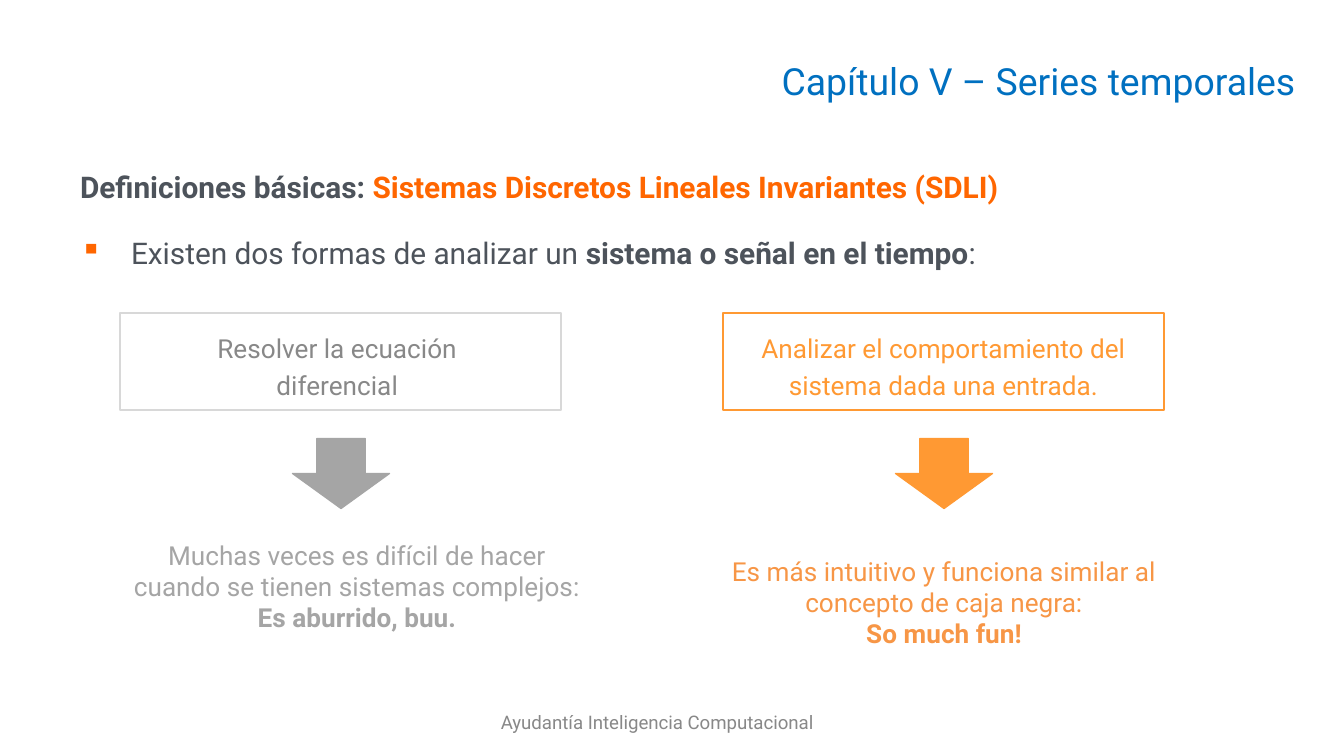
from lxml import etree
from pptx import Presentation
from pptx.dml.color import RGBColor
from pptx.enum.shapes import MSO_SHAPE
from pptx.enum.text import MSO_ANCHOR, PP_ALIGN
from pptx.oxml.ns import qn
from pptx.util import Emu, Pt

PX = 914400 / 134.4
CENTER, RIGHT, JUSTIFY = PP_ALIGN.CENTER, PP_ALIGN.RIGHT, PP_ALIGN.JUSTIFY
TOP, MIDDLE = MSO_ANCHOR.TOP, MSO_ANCHOR.MIDDLE
RECTANGLE, ARROW = MSO_SHAPE.RECTANGLE, MSO_SHAPE.RIGHT_ARROW
COLORS = {
    "title": "0070C0", "dark": "4D535B", "accent": "FF6600",
    "gray": "888888", "border": "D8D8D8", "silver": "A5A5A5",
    "orange": "FF9933", "apricot": "F79646",
}


def px(value):
    return Emu(round(value * PX))


def rgb(name):
    return RGBColor.from_string(COLORS[name])


def run(text, color, bold=False):
    return {"text": text, "color": color, "bold": bold}


class SlideBuilder:
    font = "Roboto"
    line_width = Pt(0.75)

    def __init__(self, slide):
        self.slide = slide

    def fill_text(self, frame, paragraphs, size, align=CENTER, anchor=TOP,
                  inset=13, spacing=None):
        """Fill a text frame; each paragraph is a list of runs, None breaks a line."""
        frame.word_wrap = True
        frame.vertical_anchor = anchor
        frame.margin_left = frame.margin_right = px(13)
        frame.margin_top = frame.margin_bottom = px(inset)
        for index, runs in enumerate(paragraphs):
            paragraph = frame.add_paragraph() if index else frame.paragraphs[0]
            paragraph.alignment = align
            if spacing:
                paragraph.line_spacing = spacing
            for item in runs:
                if item is None:
                    paragraph.add_line_break()
                    continue
                piece = paragraph.add_run()
                piece.text = item["text"]
                piece.font.name = self.font
                piece.font.size = Pt(size)
                piece.font.bold = item["bold"]
                piece.font.color.rgb = rgb(item["color"])

    def text(self, box, paragraphs, size, **style):
        shape = self.slide.shapes.add_textbox(*map(px, box))
        self.fill_text(shape.text_frame, paragraphs, size, **style)
        return shape

    def shape(self, kind, box, line, fill=None):
        shape = self.slide.shapes.add_shape(kind, *map(px, box))
        shape.shadow.inherit = False
        if fill:
            shape.fill.solid()
            shape.fill.fore_color.rgb = rgb(fill)
        else:
            shape.fill.background()
        shape.line.color.rgb = rgb(line)
        shape.line.width = self.line_width
        return shape

    def box(self, box, line, runs):
        shape = self.shape(RECTANGLE, box, line)
        self.fill_text(shape.text_frame, [runs], 14, spacing=1.2)

    def down_arrow(self, box, color):
        self.shape(ARROW, box, color, color).rotation = 90

    def bullet(self, paragraph, color, indent):
        properties = paragraph._p.get_or_add_pPr()
        properties.set("marL", str(px(indent)))
        properties.set("indent", str(-px(indent)))
        bullet_color = etree.SubElement(properties, qn("a:buClr"))
        etree.SubElement(bullet_color, qn("a:srgbClr"), val=COLORS[color])
        etree.SubElement(properties, qn("a:buChar"), char="▪")


def main():
    presentation = Presentation()
    presentation.slide_width, presentation.slide_height = px(1344), px(756)
    slide = presentation.slides.add_slide(presentation.slide_layouts[6])
    builder = SlideBuilder(slide)

    # Title
    builder.text((281, 39, 1028, 83),
                 [[run("Capítulo V – Series temporales", "title")]],
                 20, align=RIGHT, anchor=MIDDLE, inset=7)

    # Heading and bullet
    body = builder.text((67, 155, 1198, 132), [
        [run("Definiciones básicas: ", "dark", True),
         run("Sistemas Discretos Lineales Invariantes (SDLI)", "accent", True)],
        [run("Existen dos formas de analizar un ", "dark"),
         run("sistema o señal en el tiempo", "dark", True),
         run(":", "dark")],
    ], 16, align=JUSTIFY, inset=7, spacing=1.2)
    point = body.text_frame.paragraphs[1]
    point.space_before = Pt(12)
    builder.bullet(point, "accent", 51)

    # Two approaches: box, arrow and conclusion
    approaches = [
        (120, "border", "silver",
         [run("Resolver la ecuación ", "gray"), None, run("diferencial ", "gray")],
         (117, 526),
         [[run("Muchas veces es difícil de hacer cuando se tienen "
               "sistemas complejos: ", "silver"),
           run("Es aburrido, buu.", "silver", True)]]),
        (723, "orange", "orange",
         [run("Analizar el comportamiento del sistema dada una entrada.", "orange")],
         (704, 542),
         [[run("Es más intuitivo y funciona similar al concepto de caja negra:",
               "apricot")],
          [run("So much fun!", "apricot", True)]]),
    ]
    for left, border, arrow, label, corner, conclusion in approaches:
        builder.box((left, 313, 441, 97), border, label)
        builder.down_arrow((left + 186, 425, 70, 97), arrow)
        builder.text((*corner, 480, 122), conclusion, 14)

    # Footer
    builder.text((276, 696, 762, 52),
                 [[run("Ayudantía Inteligencia Computacional", "gray")]],
                 10, anchor=MIDDLE, inset=7)

    presentation.save("out.pptx")


if __name__ == "__main__":
    main()
